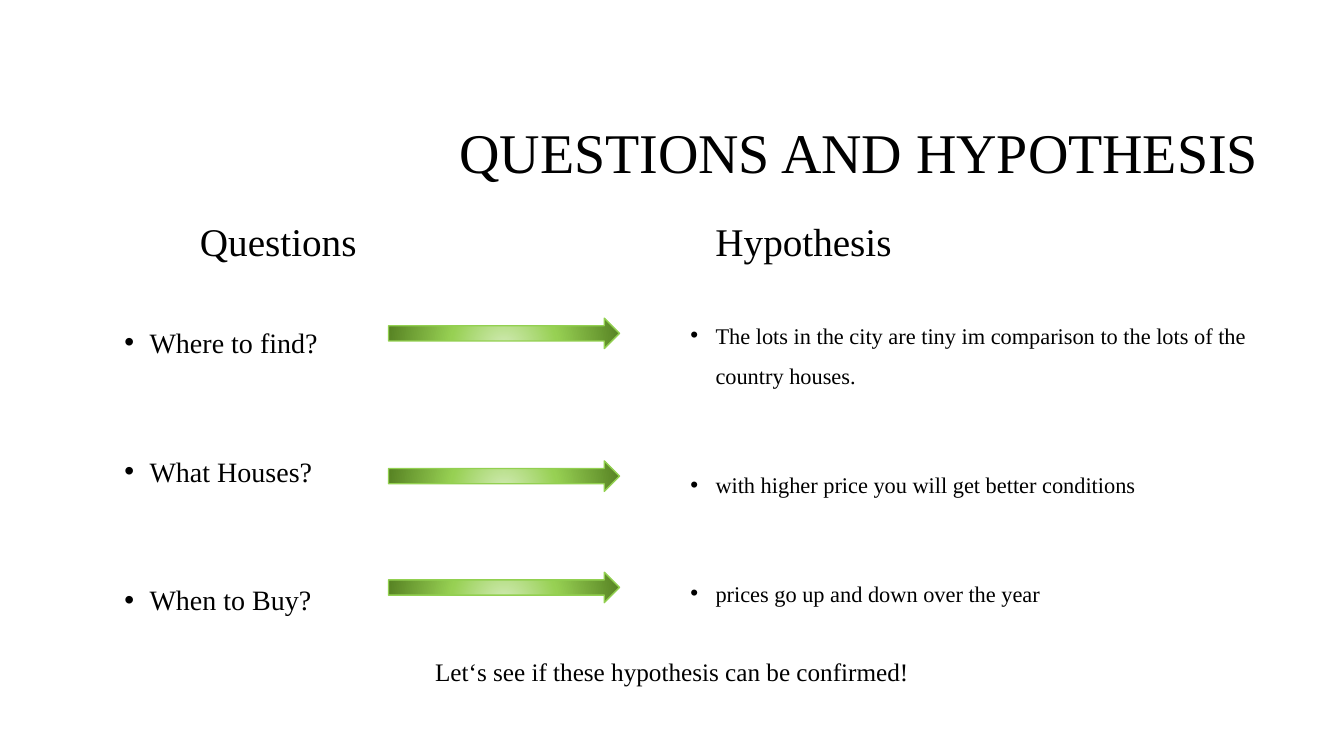
"""Build the slide that pairs questions with hypotheses."""
from dataclasses import dataclass

from lxml import etree
from pptx import Presentation
from pptx.dml.color import RGBColor
from pptx.enum.shapes import MSO_SHAPE
from pptx.enum.text import MSO_ANCHOR, MSO_AUTO_SIZE, PP_ALIGN
from pptx.oxml import parse_xml
from pptx.oxml.ns import nsdecls, qn
from pptx.util import Pt

PX = 9525
FONT = "Times New Roman"
BLACK = RGBColor(0x00, 0x00, 0x00)
GREEN = RGBColor(0x92, 0xD0, 0x50)
STOPS = (
    (0, RGBColor(0xD3, 0xEB, 0xB7)),
    (46, RGBColor(0x97, 0xD0, 0x53)),
    (100, RGBColor(0x58, 0x84, 0x24)),
)
ARROW = MSO_SHAPE.RIGHT_ARROW
TOP, MIDDLE = MSO_ANCHOR.TOP, MSO_ANCHOR.MIDDLE
LEFT, CENTER, RIGHT = PP_ALIGN.LEFT, PP_ALIGN.CENTER, PP_ALIGN.RIGHT
GROW = MSO_AUTO_SIZE.SHAPE_TO_FIT_TEXT
FIXED = MSO_AUTO_SIZE.NONE
TITLE_ONLY = 5
INDENT = 24


@dataclass(frozen=True)
class Box:
    left: int
    top: int
    width: int
    height: int

    def emu(self) -> tuple[int, int, int, int]:
        return (self.left * PX, self.top * PX,
                self.width * PX, self.height * PX)


@dataclass(frozen=True)
class Block:
    box: Box
    lines: tuple[str, ...]
    size: int
    anchor: MSO_ANCHOR = MIDDLE
    align: PP_ALIGN = LEFT
    pitch: float = 0.9
    before: int = 10
    gap: int = 0
    bullet: bool = False
    fit: MSO_AUTO_SIZE = FIXED


TITLE = Block(Box(304, 80, 904, 136), ("QUESTIONS AND HYPOTHESIS",), 40,
              align=RIGHT, before=0)
BLOCKS = (
    Block(Box(181, 189, 448, 86), ("Questions",), 28),
    Block(Box(109, 289, 520, 324),
          ("Where to find?", "What Houses?", "When to Buy?"),
          20, anchor=TOP, pitch=1.5, gap=56, bullet=True),
    Block(Box(672, 189, 536, 86), ("Hypothesis",), 28),
    Block(Box(648, 289, 560, 324),
          ("The lots in the city are tiny im comparison to the lots of the "
           "country houses.",
           "with higher price you will get better conditions",
           "prices go up and down over the year"),
          16, anchor=TOP, pitch=1.5, gap=49, bullet=True),
    Block(Box(109, 620, 1062, 38),
          ("Let‘s see if these hypothesis can be confirmed!",), 18,
          align=CENTER, pitch=1.0, before=0, fit=GROW),
)
ARROWS = tuple(Box(370, top, 220, 29) for top in (303, 439, 545))


def add_bullet(para) -> None:
    """Hang a round bullet on a paragraph."""
    props = para._p.get_or_add_pPr()
    props.set("marL", str(INDENT * PX))
    props.set("indent", str(-INDENT * PX))
    etree.SubElement(props, qn("a:buFont")).set("typeface", "Arial")
    etree.SubElement(props, qn("a:buChar")).set("char", "•")


def fill_text(shape, block: Block) -> None:
    """Place a shape and write its paragraphs."""
    shape.left, shape.top, shape.width, shape.height = block.box.emu()
    frame = shape.text_frame
    frame.word_wrap = True
    frame.auto_size = block.fit
    frame.vertical_anchor = block.anchor
    for index, line in enumerate(block.lines):
        para = frame.add_paragraph() if index else frame.paragraphs[0]
        para.alignment = block.align
        para.line_spacing = block.pitch
        para.space_before = Pt(block.gap if index else block.before)
        if block.bullet:
            add_bullet(para)
        run = para.add_run()
        run.text = line
        run.font.name = FONT
        run.font.size = Pt(block.size)
        run.font.color.rgb = BLACK


def add_arrow(slide, box: Box) -> None:
    """Draw an arrow with a radial green fill."""
    arrow = slide.shapes.add_shape(ARROW, *box.emu())
    arrow.shadow.inherit = False
    arrow.line.color.rgb = GREEN
    arrow.line.width = Pt(1)
    arrow.fill.gradient()
    stops = "".join(
        f'<a:gs pos="{pos * 1000}"><a:srgbClr val="{color}"/></a:gs>'
        for pos, color in STOPS)
    radial = parse_xml(
        f'<a:gradFill {nsdecls("a")} rotWithShape="1"><a:gsLst>{stops}</a:gsLst>'
        '<a:path path="circle"><a:fillToRect l="50000" t="130000" '
        'r="50000" b="-30000"/></a:path></a:gradFill>')
    props = arrow._element.spPr
    props.replace(props.find(qn("a:gradFill")), radial)


def main() -> None:
    """Build and save the slide."""
    deck = Presentation()
    deck.slide_width, deck.slide_height = 1280 * PX, 720 * PX
    slide = deck.slides.add_slide(deck.slide_layouts[TITLE_ONLY])
    fill_text(slide.shapes.title, TITLE)
    for block in BLOCKS:
        fill_text(slide.shapes.add_textbox(*block.box.emu()), block)
    for box in ARROWS:
        add_arrow(slide, box)
    deck.save("out.pptx")


if __name__ == "__main__":
    main()
